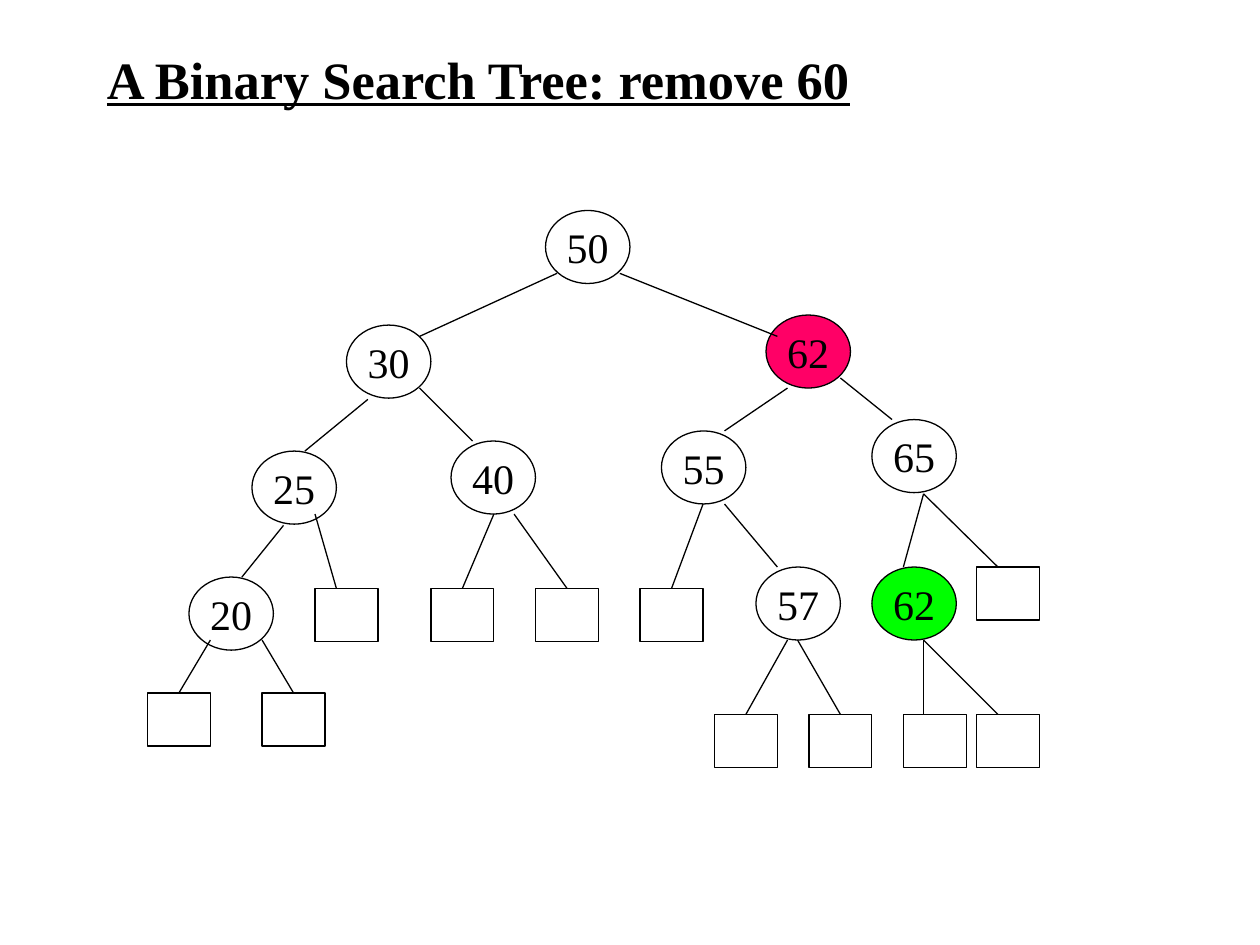
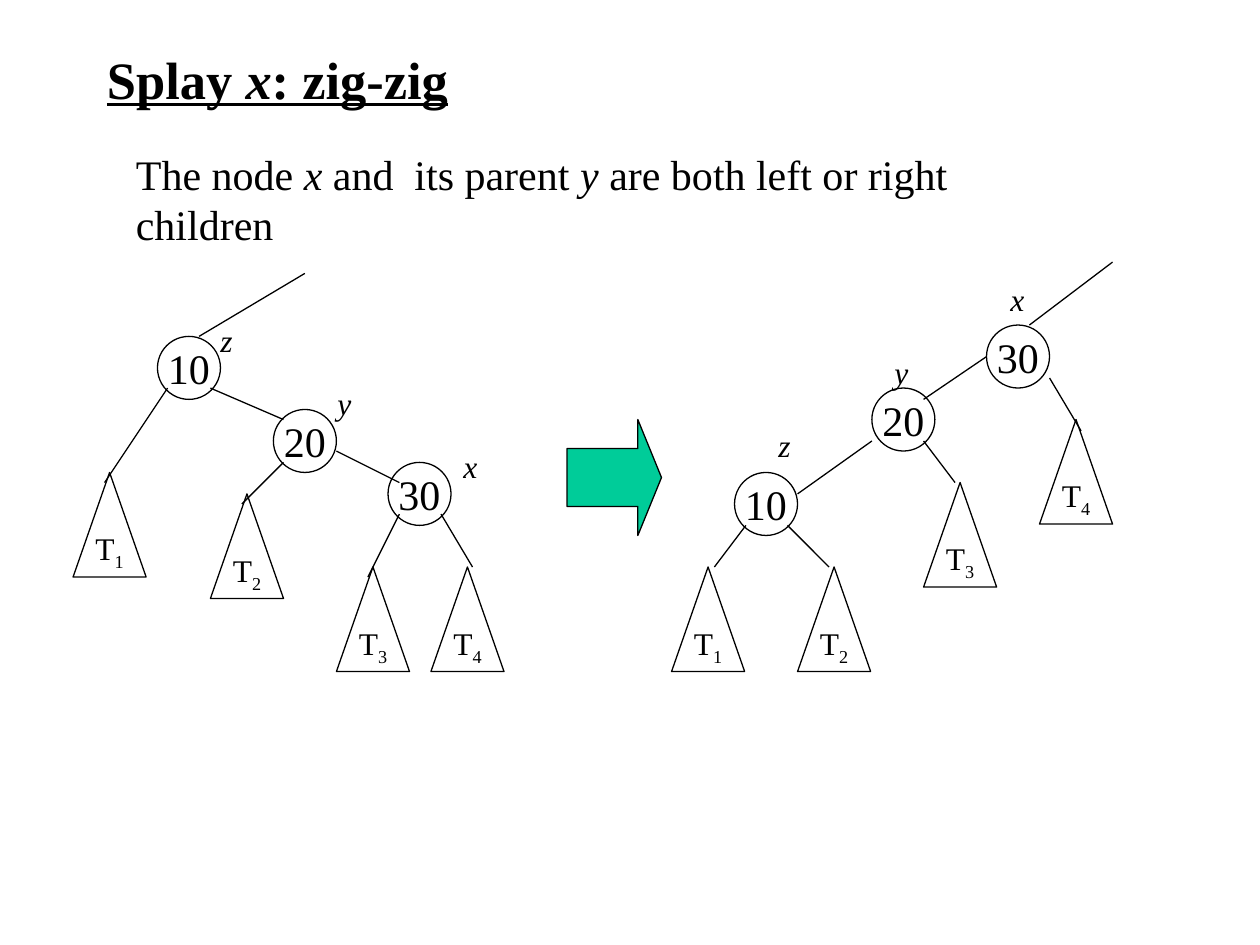
from lxml import etree
from pptx import Presentation
from pptx.dml.color import RGBColor
from pptx.enum import shapes, text
from pptx.oxml import ns
from pptx.util import Inches, Pt

FONT = "Times New Roman"
BLACK = RGBColor(0x00, 0x00, 0x00)
WHITE = RGBColor(0xFF, 0xFF, 0xFF)
PINK = RGBColor(0xFF, 0x00, 0x66)
GREEN = RGBColor(0x00, 0xFF, 0x00)
TEAL = RGBColor(0x00, 0xCC, 0x99)
LINE_WIDTH = Pt(0.75)
SHAPE = shapes.MSO_SHAPE

TREE_NODE = (0.67, 0.58)
SPLAY_NODE = (0.5, 0.5)
LEAF = (0.5, 0.42)
SUBTREE = (0.58, 0.83)


class Deck:
    """Holds the presentation, its style and the slide being drawn."""

    def __init__(self):
        self.prs = Presentation()
        self.prs.slide_width = Inches(10)
        self.prs.slide_height = Inches(7.5)
        self.slide = None

    def add_slide(self, *title_parts):
        self.slide = self.prs.slides.add_slide(self.prs.slide_layouts[6])
        self.text_box((0.75, 0.33), (6.75, 0.58), title_parts, 30, heading=True)

    def add_runs(self, paragraph, parts, size, heading=False):
        """Add one run per part: a plain string, or a (string, "italic" or "sub") pair."""
        for part in parts:
            words, style = (part, "") if isinstance(part, str) else part
            run = paragraph.add_run()
            run.text = words
            font = run.font
            font.name, font.size = FONT, Pt(size)
            font.color.rgb = BLACK
            font.bold = font.underline = heading
            font.italic = style == "italic"
            if style == "sub":
                font._element.set("baseline", "-25000")

    def text_box(self, corner, size, parts, points, wrap=True, heading=False):
        box = self.slide.shapes.add_textbox(*map(Inches, corner + size))
        frame = box.text_frame
        frame.word_wrap = wrap
        if heading:
            frame.vertical_anchor = text.MSO_ANCHOR.MIDDLE
        self.add_runs(frame.paragraphs[0], parts, points, heading)

    def shape(self, kind, corner, size, fill=None, parts=(), points=24):
        shape = self.slide.shapes.add_shape(kind, *map(Inches, corner + size))
        shape.shadow.inherit = False
        if fill is None:
            shape.fill.background()
        else:
            shape.fill.solid()
            shape.fill.fore_color.rgb = fill
        shape.line.color.rgb = BLACK
        shape.line.width = LINE_WIDTH
        frame = shape.text_frame
        frame.word_wrap = False
        frame.vertical_anchor = text.MSO_ANCHOR.MIDDLE
        frame.paragraphs[0].alignment = text.PP_ALIGN.CENTER
        self.add_runs(frame.paragraphs[0], parts, points)
        return shape

    def node(self, key, corner, size, fill=None):
        self.shape(SHAPE.OVAL, corner, size, fill, [str(key)])

    def leaf(self, corner):
        self.shape(SHAPE.RECTANGLE, corner, LEAF)

    def subtree(self, number, corner):
        self.shape(SHAPE.ISOSCELES_TRIANGLE, corner, SUBTREE, WHITE,
                   ["T", (str(number), "sub")], 18)

    def node_name(self, name, corner):
        self.text_box(corner, (0.3, 0.4), [(name, "italic")], 18)

    def edge(self, start, end):
        edge = self.slide.shapes.add_connector(
            shapes.MSO_CONNECTOR.STRAIGHT, *map(Inches, start + end))
        edge.line.color.rgb = BLACK
        edge.line.width = LINE_WIDTH
        etree.SubElement(edge._element.spPr, ns.qn("a:effectLst"))

    def step_arrow(self, corner, size):
        arrow = self.shape(SHAPE.RIGHT_ARROW, corner, size, TEAL)
        arrow.adjustments[0] = 0.5
        arrow.adjustments[1] = 0.25


def removal_slide(deck):
    deck.add_slide("A Binary Search Tree: remove 60")

    nodes = [
        (50, (4.33, 1.67)),
        (30, (2.75, 2.58)), (62, (6.08, 2.5), PINK),
        (25, (2, 3.58)), (40, (3.58, 3.5)), (55, (5.25, 3.42)), (65, (6.92, 3.33)),
        (20, (1.5, 4.58)), (57, (6, 4.5)), (62, (6.92, 4.5), GREEN),
    ]
    for key, corner, *fill in nodes:
        deck.node(key, corner, TREE_NODE, *fill)

    leaf_rows = {
        4.5: [7.75],
        4.67: [2.5, 3.42, 4.25, 5.08],
        5.5: [1.17, 2.08],
        5.67: [5.67, 6.42, 7.17, 7.75],
    }
    for top, lefts in leaf_rows.items():
        for left in lefts:
            deck.leaf((left, top))

    edges = [
        # below 50, 30 and 62
        ((4.42, 2.17), (3.33, 2.67)), ((4.92, 2.17), (6.17, 2.67)),
        ((2.92, 3.17), (2.42, 3.58)), ((3.33, 3.08), (3.75, 3.5)),
        ((6.25, 3.08), (5.75, 3.42)), ((6.67, 3), (7.08, 3.33)),
        # below 25, 40, 55 and 65
        ((2.25, 4.17), (1.92, 4.58)), ((2.5, 4.08), (2.67, 4.67)),
        ((3.92, 4.08), (3.67, 4.67)), ((4.08, 4.08), (4.5, 4.67)),
        ((5.58, 4), (5.33, 4.67)), ((5.75, 4), (6.17, 4.5)),
        ((7.33, 3.92), (7.17, 4.5)), ((7.33, 3.92), (7.92, 4.5)),
        # below 20, 57 and the moved 62
        ((1.67, 5.08), (1.42, 5.5)), ((2.08, 5.08), (2.33, 5.5)),
        ((6.25, 5.08), (5.92, 5.67)), ((6.33, 5.08), (6.67, 5.67)),
        ((7.33, 5.08), (7.33, 5.67)), ((7.33, 5.08), (7.92, 5.67)),
    ]
    for start, end in edges:
        deck.edge(start, end)


def splay_tree(deck, nodes, subtrees, edges):
    """Draw nodes as (key, corner, name, name corner), then subtrees T1 to T4 and edges."""
    for key, corner, _, _ in nodes:
        deck.node(key, corner, SPLAY_NODE, WHITE)
    for number, corner in enumerate(subtrees, start=1):
        deck.subtree(number, corner)
    for start, end in edges:
        deck.edge(start, end)
    for _, _, name, name_corner in nodes:
        deck.node_name(name, name_corner)


def zig_zig_slide(deck):
    deck.add_slide("Splay ", ("x", "italic"), ": zig-zig")
    condition = ["The node ", ("x", "italic"), " and  its parent ",
                 ("y", "italic"), " are both left or right children"]
    deck.text_box((0.98, 1.13), (7.81, 0.5), condition, 24, wrap=False)

    splay_tree(
        deck,
        nodes=[(10, (1.25, 2.67), "z", (1.65, 2.5)),
               (20, (2.17, 3.25), "y", (2.58, 3)),
               (30, (3.08, 3.67), "x", (3.58, 3.5))],
        subtrees=[(0.58, 3.75), (1.67, 3.92), (2.67, 4.5), (3.42, 4.5)],
        edges=[((1.58, 2.67), (2.42, 2.17)),
               ((1.33, 3.08), (0.83, 3.83)), ((1.67, 3.08), (2.25, 3.33)),
               ((2.25, 3.67), (1.92, 4)), ((2.67, 3.58), (3.17, 3.83)),
               ((3.17, 4.08), (2.92, 4.58)), ((3.5, 4.08), (3.75, 4.5))],
    )
    splay_tree(
        deck,
        nodes=[(30, (7.83, 2.58), "x", (7.92, 2.17)),
               (20, (6.92, 3.08), "y", (7, 2.75)),
               (10, (5.83, 3.75), "z", (6.08, 3.33))],
        subtrees=[(5.33, 4.5), (6.33, 4.5), (7.33, 3.83), (8.25, 3.33)],
        edges=[((8.17, 2.58), (8.83, 2.08)),
               ((7.83, 2.83), (7.33, 3.17)), ((8.33, 3), (8.58, 3.42)),
               ((6.92, 3.5), (6.33, 3.92)), ((7.33, 3.5), (7.58, 3.83)),
               ((5.92, 4.17), (5.67, 4.5)), ((6.25, 4.17), (6.58, 4.5))],
    )
    deck.step_arrow((4.5, 3.33), (0.75, 0.92))


def main():
    deck = Deck()
    removal_slide(deck)
    zig_zig_slide(deck)
    deck.prs.save("out.pptx")


if __name__ == "__main__":
    main()
